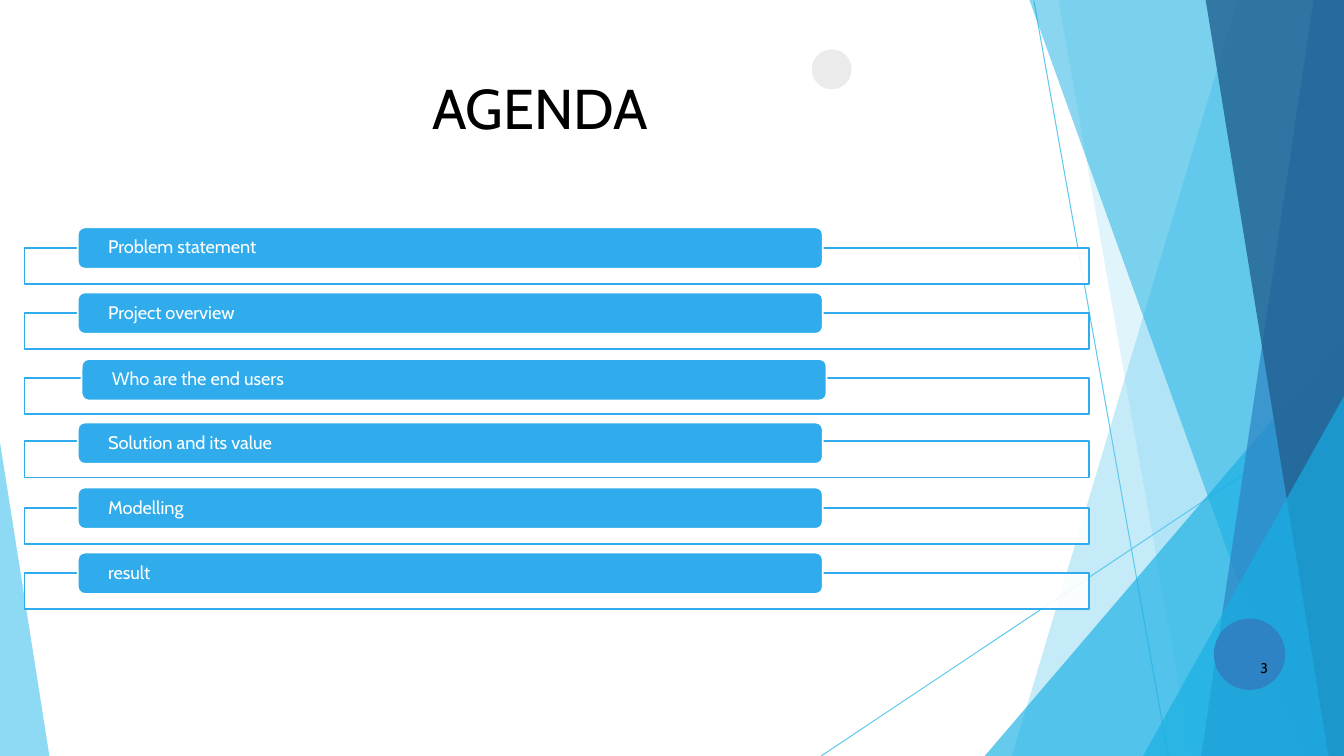
"""Build an agenda slide with a faceted blue backdrop."""
from lxml import etree
from pptx import Presentation
from pptx.dml.color import RGBColor
from pptx.enum.shapes import MSO_CONNECTOR, MSO_SHAPE
from pptx.enum.text import MSO_ANCHOR, PP_ALIGN
from pptx.oxml.ns import qn
from pptx.util import Pt

RECTANGLE, PILL, OVAL = MSO_SHAPE.RECTANGLE, MSO_SHAPE.ROUNDED_RECTANGLE, MSO_SHAPE.OVAL
STRAIGHT = MSO_CONNECTOR.STRAIGHT
LEFT, CENTER, RIGHT = PP_ALIGN.LEFT, PP_ALIGN.CENTER, PP_ALIGN.RIGHT
MIDDLE = MSO_ANCHOR.MIDDLE

WHITE = RGBColor(0xFF, 0xFF, 0xFF)
BLACK = RGBColor(0x00, 0x00, 0x00)
GREY = RGBColor(0xEB, 0xEB, 0xEB)
SKY = RGBColor(0x5F, 0xCA, 0xEE)
CYAN = RGBColor(0x17, 0xAF, 0xE3)
BLUE = RGBColor(0x2D, 0x83, 0xC3)
NAVY = RGBColor(0x22, 0x61, 0x92)
AGENDA_BLUE = RGBColor(0x30, 0xAC, 0xEC)

FONT = "Cabin"
WIDTH, HEIGHT = 960, 540
RIGHT_FACETS = [
    ([(WIDTH, 0), (884.2, 0), (722.9, HEIGHT), (WIDTH, HEIGHT)], SKY, 36),
    ([(WIDTH, 0), (756, 0), (851, HEIGHT), (WIDTH, HEIGHT)], SKY, 20),
    ([(WIDTH, 240), (703.4, HEIGHT), (WIDTH, HEIGHT)], CYAN, 66),
    ([(WIDTH, 0), (735.3, 0), (929.5, HEIGHT), (WIDTH, HEIGHT)], CYAN, 50),
    ([(WIDTH, 0), (938.2, 0), (858, HEIGHT), (WIDTH, HEIGHT)], BLUE, 70),
    ([(WIDTH, 0), (861.2, 0), (949, HEIGHT), (WIDTH, HEIGHT)], NAVY, 80),
    ([(WIDTH, 283), (816.5, HEIGHT), (WIDTH, HEIGHT)], CYAN, 66),
]
LEFT_FACET = ([(0, 316), (0, HEIGHT), (35.3, HEIGHT)], SKY, 70)
AGENDA = [
    ("Problem statement", 55.6, 162.4, 177.1),
    ("Project overview", 55.6, 208.9, 223.6),
    ("Who are the end users", 58.3, 256.5, 270),
    ("Solution and its value", 55.6, 301.8, 315.2),
    ("Modelling", 55.6, 348.2, 362.9),
    ("result", 55.6, 394.7, 409.4),
]


def paint(shape, fill, opacity=100, line=None):
    """Set the fill, opacity and outline of a shape."""
    shape.shadow.inherit = False
    shape.fill.solid()
    shape.fill.fore_color.rgb = fill
    if opacity < 100:
        color = shape._element.spPr.find(qn("a:solidFill"))[0]
        etree.SubElement(color, qn("a:alpha")).set("val", str(opacity * 1000))
    if line is None:
        shape.line.fill.background()
    else:
        shape.line.color.rgb = line
        shape.line.width = Pt(1.25)


def add_facet(slide, points, color, opacity):
    """Add a translucent polygon."""
    corners = [(Pt(x), Pt(y)) for x, y in points]
    builder = slide.shapes.build_freeform(*corners[0], scale=1.0)
    builder.add_line_segments(corners[1:], close=True)
    paint(builder.convert_to_shape(), color, opacity)


def add_line(slide, *ends):
    """Add a thin line between two points."""
    connector = slide.shapes.add_connector(STRAIGHT, *map(Pt, ends))
    connector.line.color.rgb = SKY
    connector.line.width = Pt(0.75)
    etree.SubElement(connector._element.spPr, qn("a:effectLst"))


def add_shape(slide, kind, box, fill, **style):
    """Add a painted preset shape."""
    shape = slide.shapes.add_shape(kind, *map(Pt, box))
    paint(shape, fill, **style)
    return shape


def write_text(shape, text, size, color=BLACK, align=LEFT, inset=0, spacing=1.0):
    """Write one formatted paragraph into a shape."""
    frame = shape.text_frame
    frame.word_wrap = True
    frame.vertical_anchor = MIDDLE
    frame.margin_left = frame.margin_right = Pt(inset)
    frame.margin_top = frame.margin_bottom = 0
    paragraph = frame.paragraphs[0]
    paragraph.alignment = align
    paragraph.line_spacing = spacing
    run = paragraph.add_run()
    run.text = text
    run.font.name = FONT
    run.font.size = Pt(size)
    run.font.color.rgb = color


def add_text_box(slide, box, text, **style):
    """Add a text box with formatted text."""
    write_text(slide.shapes.add_textbox(*map(Pt, box)), text, **style)


def add_agenda_item(slide, text, left, pill_top, frame_top):
    """Add an outlined frame with a labelled pill over its top edge."""
    add_shape(slide, RECTANGLE, (17.5, frame_top, 760.3, 25.9), WHITE,
              opacity=90, line=AGENDA_BLUE)
    pill = add_shape(slide, PILL, (left, pill_top, 532.1, 29.5), AGENDA_BLUE, line=WHITE)
    write_text(pill, text, size=13, color=WHITE, inset=20.2, spacing=0.9)


def main():
    """Build and save the slide."""
    presentation = Presentation()
    presentation.slide_width, presentation.slide_height = Pt(WIDTH), Pt(HEIGHT)
    slide = presentation.slides.add_slide(presentation.slide_layouts[6])
    add_line(slide, 738.5, 0.5, 834.5, HEIGHT)
    add_line(slide, WIDTH, 291, 586.5, HEIGHT)
    for facet in [*RIGHT_FACETS, LEFT_FACET]:
        add_facet(slide, *facet)
    add_shape(slide, OVAL, (579.8, 35.3, 28.5, 28.5), GREY)
    add_shape(slide, OVAL, (867, 441.8, 51, 51), BLUE)
    add_text_box(slide, (-8.6, 52.5, 789, 48.5), "AGENDA", size=40, align=CENTER)
    add_text_box(slide, (862.5, 471, 43.2, 12), "3", size=10, align=RIGHT)
    for item in AGENDA:
        add_agenda_item(slide, *item)
    presentation.save("out.pptx")


if __name__ == "__main__":
    main()
